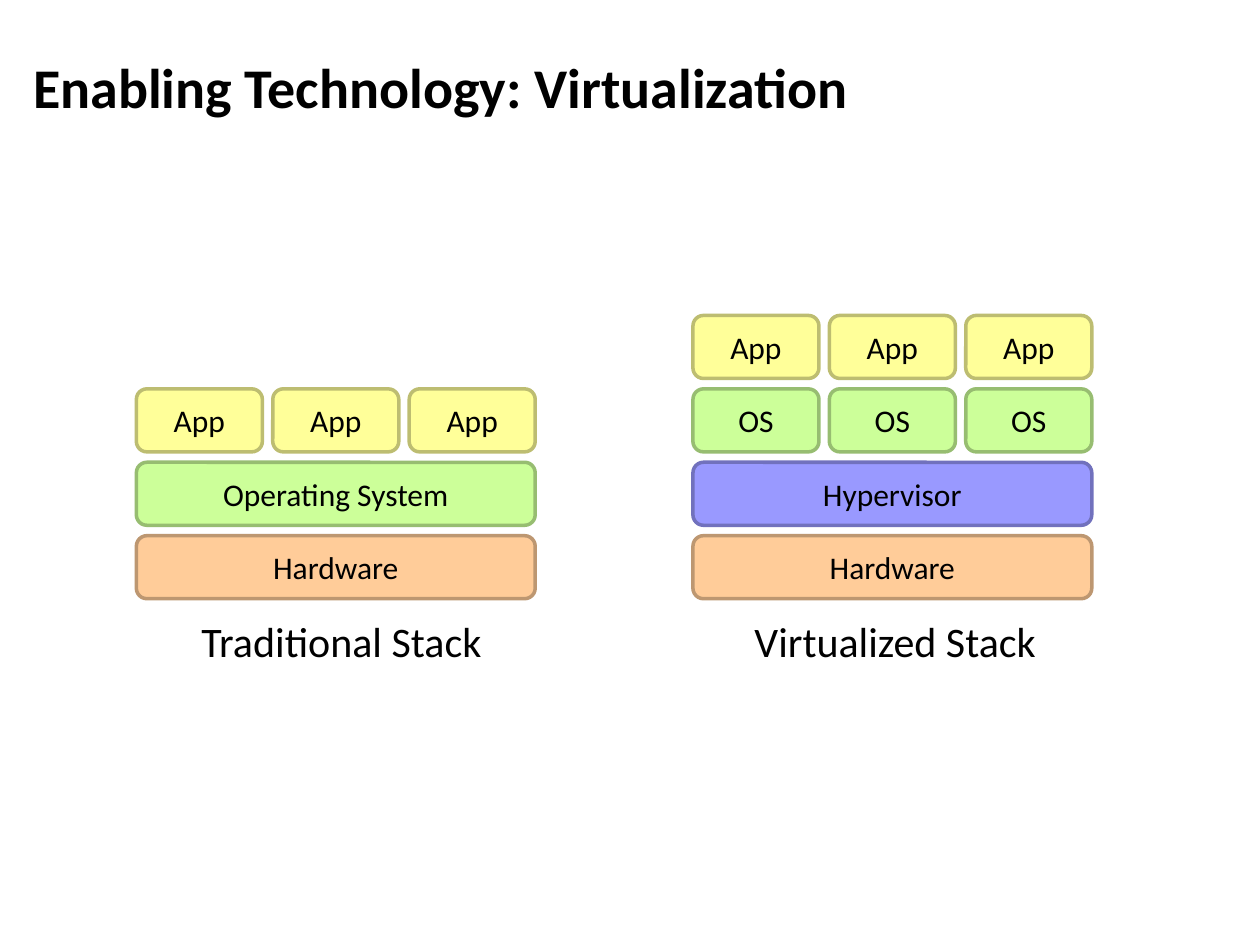
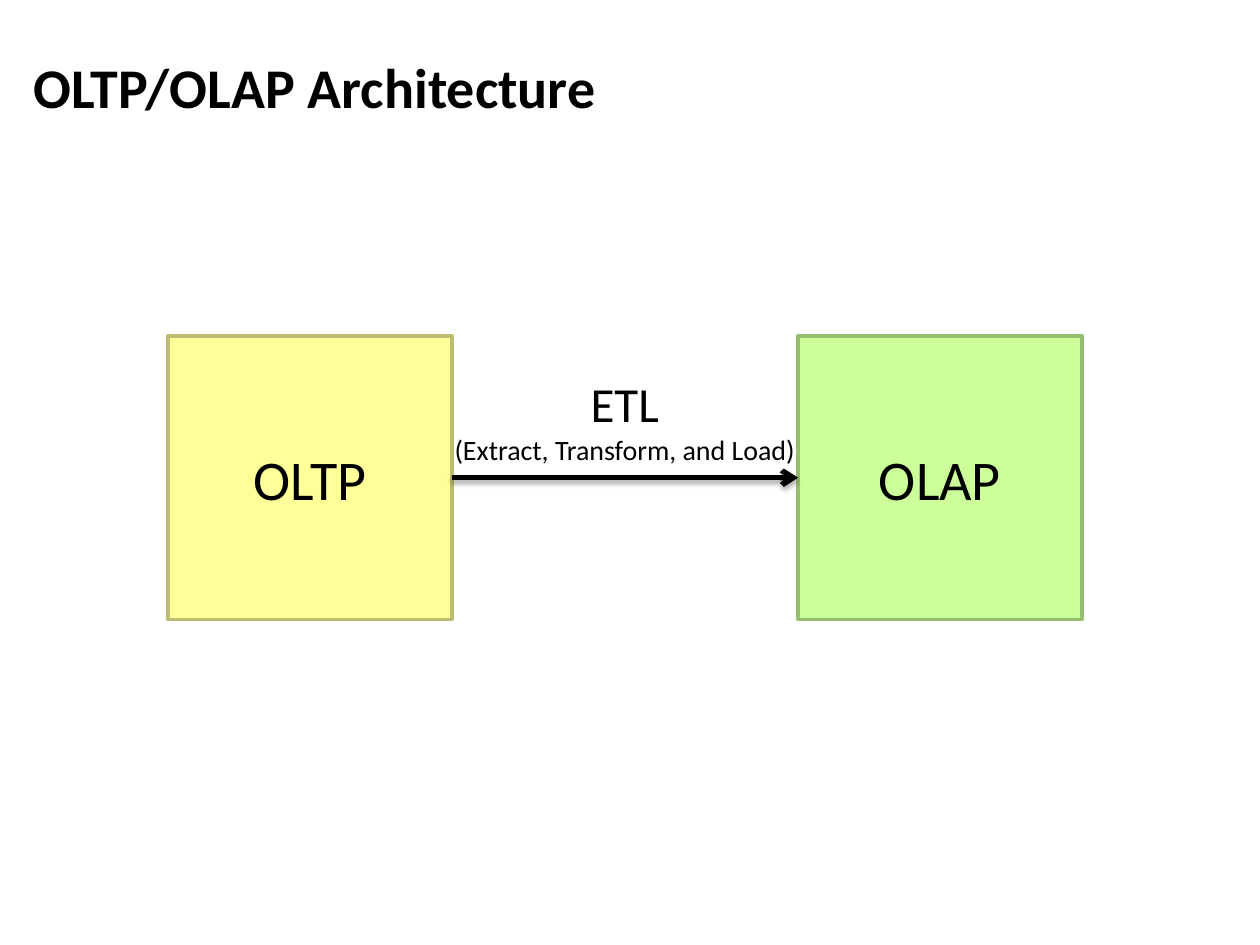
from dataclasses import dataclass

from lxml import etree
from pptx import Presentation
from pptx.dml.color import RGBColor
from pptx.enum.shapes import MSO_CONNECTOR, MSO_SHAPE
from pptx.enum.text import MSO_ANCHOR, PP_ALIGN
from pptx.oxml.ns import qn
from pptx.util import Cm, Pt

ROUNDED, SQUARE = MSO_SHAPE.ROUNDED_RECTANGLE, MSO_SHAPE.RECTANGLE
STRAIGHT = MSO_CONNECTOR.STRAIGHT
TOP, MIDDLE = MSO_ANCHOR.TOP, MSO_ANCHOR.MIDDLE
LEFT, CENTER = PP_ALIGN.LEFT, PP_ALIGN.CENTER
LEFT_SIDE, RIGHT_SIDE = 1, 3

FONT = "Calibri"
BLACK = RGBColor(0x00, 0x00, 0x00)
YELLOW = RGBColor(0xFF, 0xFF, 0x99)
DARK_YELLOW = RGBColor(0xBD, 0xBD, 0x71)
GREEN = RGBColor(0xCC, 0xFF, 0x99)
DARK_GREEN = RGBColor(0x97, 0xBD, 0x71)
ORANGE = RGBColor(0xFF, 0xCC, 0x99)
DARK_ORANGE = RGBColor(0xBD, 0x97, 0x71)
VIOLET = RGBColor(0x99, 0x99, 0xFF)
DARK_VIOLET = RGBColor(0x71, 0x71, 0xBD)
OUTLINES = {YELLOW: DARK_YELLOW, GREEN: DARK_GREEN,
            ORANGE: DARK_ORANGE, VIOLET: DARK_VIOLET}

# Stack grid, in centimetres
CELL_WIDTH, CELL_HEIGHT, GAP = 2.54, 1.27, 0.21
STACK_WIDTH = 3 * CELL_WIDTH + 2 * GAP
BASE_TOP, CAPTION_TOP = 10.8, 12.28


@dataclass(frozen=True)
class Area:
    """A rectangle in centimetres."""
    left: float
    top: float
    width: float
    height: float

    def lengths(self) -> tuple:
        return Cm(self.left), Cm(self.top), Cm(self.width), Cm(self.height)


@dataclass(frozen=True)
class Layer:
    label: str
    fill: RGBColor
    cells: int = 1


@dataclass(frozen=True)
class Stack:
    caption: str
    left: float
    caption_left: float
    layers: tuple  # from the bottom up


HARDWARE = Layer("Hardware", ORANGE)
APPS = Layer("App", YELLOW, 3)
STACKS = (
    Stack("Traditional Stack", 2.75, 3.81,
          (HARDWARE, Layer("Operating System", GREEN), APPS)),
    Stack("Virtualized Stack", 13.97, 14.96,
          (HARDWARE, Layer("Hypervisor", VIOLET), Layer("OS", GREEN, 3), APPS)),
)


def style_span(span, size: float, bold: bool = False) -> None:
    formats = {"name": FONT, "size": Pt(size), "bold": bold}
    for name, value in formats.items():
        setattr(span.font, name, value)
    span.font.color.rgb = BLACK


def write(box, lines: tuple, align, anchor, bold: bool = False) -> None:
    """Fill a box with one paragraph of (text, size) lines."""
    frame = box.text_frame
    frame.word_wrap = True
    frame.vertical_anchor = anchor
    para = frame.paragraphs[0]
    para.alignment = align
    for number, (text, size) in enumerate(lines):
        if number:
            para.add_line_break()
        span = para.add_run()
        span.text = text
        style_span(span, size, bold)


def add_text(page, area: Area, lines: tuple, align=LEFT, anchor=TOP,
             bold: bool = False) -> None:
    write(page.shapes.add_textbox(*area.lengths()), lines, align, anchor, bold)


def add_box(page, kind, area: Area, label: str, size: float, fill: RGBColor):
    box = page.shapes.add_shape(kind, *area.lengths())
    box.shadow.inherit = False
    box.fill.solid()
    box.fill.fore_color.rgb = fill
    box.line.color.rgb = OUTLINES[fill]
    box.line.width = Pt(2)
    write(box, ((label, size),), CENTER, MIDDLE)
    return box


def add_page(deck, title: str):
    page = deck.slides.add_slide(deck.slide_layouts[6])
    add_text(page, Area(0.42, 0.3, 24.13, 2.86), ((title, 32),),
             anchor=MIDDLE, bold=True)
    return page


def add_stack(page, stack: Stack) -> None:
    for level, layer in enumerate(stack.layers):
        top = BASE_TOP - level * (CELL_HEIGHT + GAP)
        width = (STACK_WIDTH - (layer.cells - 1) * GAP) / layer.cells
        for column in range(layer.cells):
            area = Area(stack.left + column * (width + GAP), top,
                        width, CELL_HEIGHT)
            add_box(page, ROUNDED, area, layer.label, 18, layer.fill)
    add_text(page, Area(stack.caption_left, CAPTION_TOP, 6.4, CELL_HEIGHT),
             ((stack.caption, 24),))


def add_arrow(page, source, target) -> None:
    arrow = page.shapes.add_connector(STRAIGHT, 0, 0, 0, 0)
    arrow.begin_connect(source, RIGHT_SIDE)
    arrow.end_connect(target, LEFT_SIDE)
    arrow.line.color.rgb = BLACK
    arrow.line.width = Pt(3)
    properties = arrow.line._get_or_add_ln()
    etree.SubElement(properties, qn("a:tailEnd"), type="arrow")
    # Soft shadow below the line
    effects = etree.SubElement(properties.getparent(), qn("a:effectLst"))
    shadow = etree.SubElement(effects, qn("a:outerShdw"), blurRad=str(Pt(3.1)),
                              dist=str(Pt(1.8)), dir="5400000", rotWithShape="0")
    color = etree.SubElement(shadow, qn("a:srgbClr"), val=str(BLACK))
    etree.SubElement(color, qn("a:alpha"), val="35000")


def main() -> None:
    deck = Presentation()
    deck.slide_width, deck.slide_height = Cm(25.4), Cm(19.05)

    # Virtualization stacks
    page = add_page(deck, "Enabling Technology: Virtualization")
    for stack in STACKS:
        add_stack(page, stack)

    # Data flow between the two systems
    page = add_page(deck, "OLTP/OLAP Architecture")
    oltp, olap = (
        add_box(page, SQUARE, Area(left, 6.77, 5.72, 5.72), label, 32, fill)
        for label, left, fill in (("OLTP", 3.39, YELLOW), ("OLAP", 16.09, GREEN))
    )
    add_arrow(page, oltp, olap)
    add_text(page, Area(8.68, 7.41, 7.83, 2.13),
             (("ETL", 28), ("(Extract, Transform, and Load)", 16)), CENTER)

    deck.save("out.pptx")


if __name__ == "__main__":
    main()
